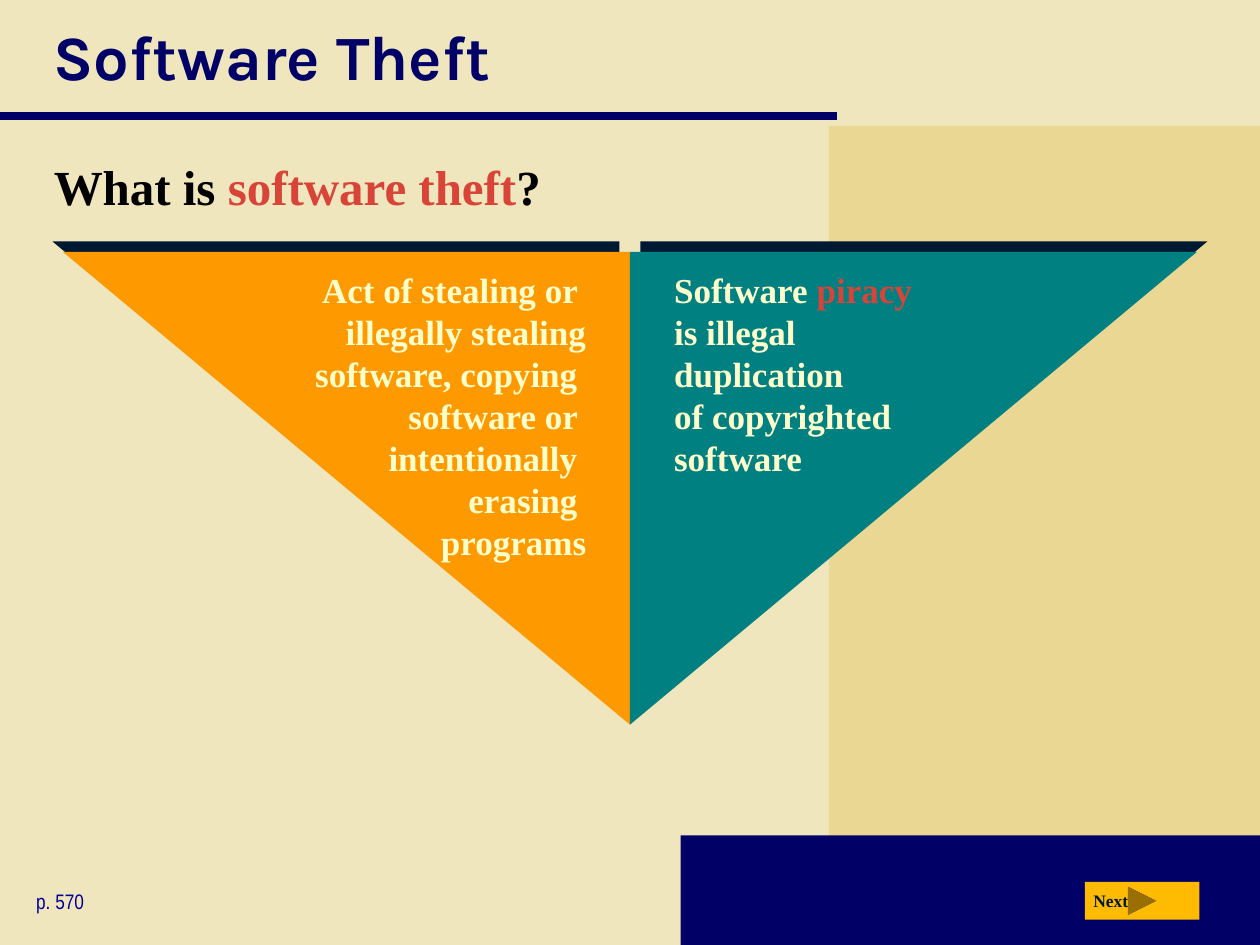
from lxml import etree
from pptx import Presentation
from pptx.dml.color import RGBColor
from pptx.enum import shapes as kinds, text as txt
from pptx.oxml.ns import qn
from pptx.util import Cm, Pt

HUES = {
    "back": "F0E6BE", "sand": "E9D793", "navy": "000066", "black": "000000",
    "red": "D94439", "page": "000099", "gold": "FFBA02", "dark": "001932",
    "orange": "FF9900", "teal": "008080", "cream": "FFFFCC",
}
SERIF = "Times New Roman"
STYLES = {
    "title": {"name": "Karla", "size": Pt(36), "bold": True},
    "ask": {"name": SERIF, "size": Pt(28), "bold": True},
    "fact": {"name": SERIF, "size": Pt(20), "bold": True},
    "next": {"name": SERIF, "size": Pt(10), "bold": True},
    "page": {"name": "Arial Narrow", "size": Pt(12), "bold": False},
}
AUTO = kinds.MSO_SHAPE


def rgb(hue):
    return RGBColor.from_string(HUES[hue])


def place(item, box):
    for key, val in zip(("left", "top", "width", "height"), box):
        setattr(item, key, Cm(val))


def write(item, style, parts, align=txt.PP_ALIGN.LEFT, anchor=txt.MSO_ANCHOR.TOP):
    """Fill one paragraph with (words, hue) parts; a newline breaks the line."""
    frame = item.text_frame
    form = {"word_wrap": True, "auto_size": txt.MSO_AUTO_SIZE.NONE,
            "vertical_anchor": anchor}
    for key, val in form.items():
        setattr(frame, key, val)
    para = frame.paragraphs[0]
    para.alignment, para.space_before = align, Pt(0)
    for words, hue in parts:
        for i, line in enumerate(words.split("\n")):
            if i:
                para.add_line_break()
            if not line:
                continue
            run = para.add_run()
            run.text = line
            for key, val in STYLES[style].items():
                setattr(run.font, key, val)
            run.font.color.rgb = rgb(hue)
    # Line breaks take the size of the text around them
    for br in para._p.findall(qn("a:br")):
        etree.SubElement(br, qn("a:rPr"), sz=str(STYLES[style]["size"].centipoints))
    return para


def label(slide, box, *args, **more):
    return write(slide.shapes.add_textbox(*map(Cm, box)), *args, **more)


def solid(slide, kind, box, hue):
    item = slide.shapes.add_shape(kind, *map(Cm, box))
    item.shadow.inherit = False
    item.fill.solid()
    item.fill.fore_color.rgb = rgb(hue)
    item.line.fill.background()
    return item


def backdrop(slide, wide, high):
    slide.background.fill.solid()
    slide.background.fill.fore_color.rgb = rgb("back")
    for x, y, hue in ((16.71, 2.54, "sand"), (13.72, 16.84, "navy")):
        solid(slide, AUTO.RECTANGLE, (x, y, wide - x, high - y), hue)
    rule = slide.shapes.add_connector(
        kinds.MSO_CONNECTOR.STRAIGHT, 0, Cm(2.34), Cm(16.87), Cm(2.34))
    rule.line.color.rgb = rgb("navy")
    rule.line.width = Pt(5)
    etree.SubElement(rule._element.spPr, qn("a:effectLst"))


def heading(slide, box):
    x, y, w = box
    title, body = slide.shapes.title, slide.placeholders[1]
    for item in (title, body):  # bring above the backdrop
        slide.shapes._spTree.append(item._element)
    place(title, (x, y, w, 2.24))
    write(title, "title", [("Software Theft", "navy")],
          anchor=txt.MSO_ANCHOR.MIDDLE)
    place(body, (x, y + 3.02, w, 1.63))
    para = write(body, "ask", [("What is ", "black"), ("software theft", "red"),
                               ("?", "black")])
    props = para._p.get_or_add_pPr()
    props.set("marL", str(Cm(1.47)))
    props.set("indent", str(Cm(-1.47)))
    etree.SubElement(props, qn("a:buNone"))


def wedge(slide, box, hue, flips, angle, note, parts, align):
    """Upside-down half triangle with a hard shadow and its text."""
    item = solid(slide, AUTO.RIGHT_TRIANGLE, box, hue)
    for flip in flips:
        item._element.spPr.find(qn("a:xfrm")).set(flip, "1")
    glow = etree.SubElement(
        item._element.spPr.find(qn("a:effectLst")), qn("a:outerShdw"),
        dist=str(Pt(8.5)), dir=str(angle * 60000), algn="ctr", rotWithShape="0")
    etree.SubElement(glow, qn("a:srgbClr"), val=HUES["dark"])
    x, y, w, h = note
    label(slide, (box[0] + x, box[1] + y, w, h), "fact", parts, align=align)


def button(slide, box):
    x, y, w, h = box
    solid(slide, AUTO.ACTION_BUTTON_FORWARD_OR_NEXT, box, "gold")
    label(slide, (x - 0.08, y + 0.03, 1.3, 0.69), "next", [("Next", "dark")])


def main():
    deck = Presentation()
    deck.slide_width, deck.slide_height = Cm(25.4), Cm(19.05)
    slide = deck.slides.add_slide(deck.slide_layouts[1])
    backdrop(slide, 25.4, 19.05)
    heading(slide, (0.83, 0, 23.85))

    # Page reference and button
    label(slide, (0.48, 17.78, 4.29, 0.76), "page", [("p. 570", "page")])
    button(slide, (21.87, 17.78, 2.31, 0.76))

    # Two halves that meet on the slide's centre line
    mid, top, w, h = 12.7, 5.08, 11.43, 9.53
    theft = ("Act of stealing or \nillegally stealing\nsoftware, copying \n"
             "software or \nintentionally \nerasing \nprograms")
    wedge(slide, (mid - w, top, w, h), "orange", ("flipH", "flipV"), 225,
          (2.11, 0.2, 8.69, 6.17), [(theft, "cream")], txt.PP_ALIGN.RIGHT)
    wedge(slide, (mid, top, w, h), "teal", ("flipV",), 315,
          (0.64, 0.2, 6.35, 4.5),
          [("Software ", "cream"), ("piracy \n", "red"),
           ("is illegal duplication \nof copyrighted software", "cream")],
          txt.PP_ALIGN.LEFT)
    deck.save("out.pptx")


if __name__ == "__main__":
    main()
